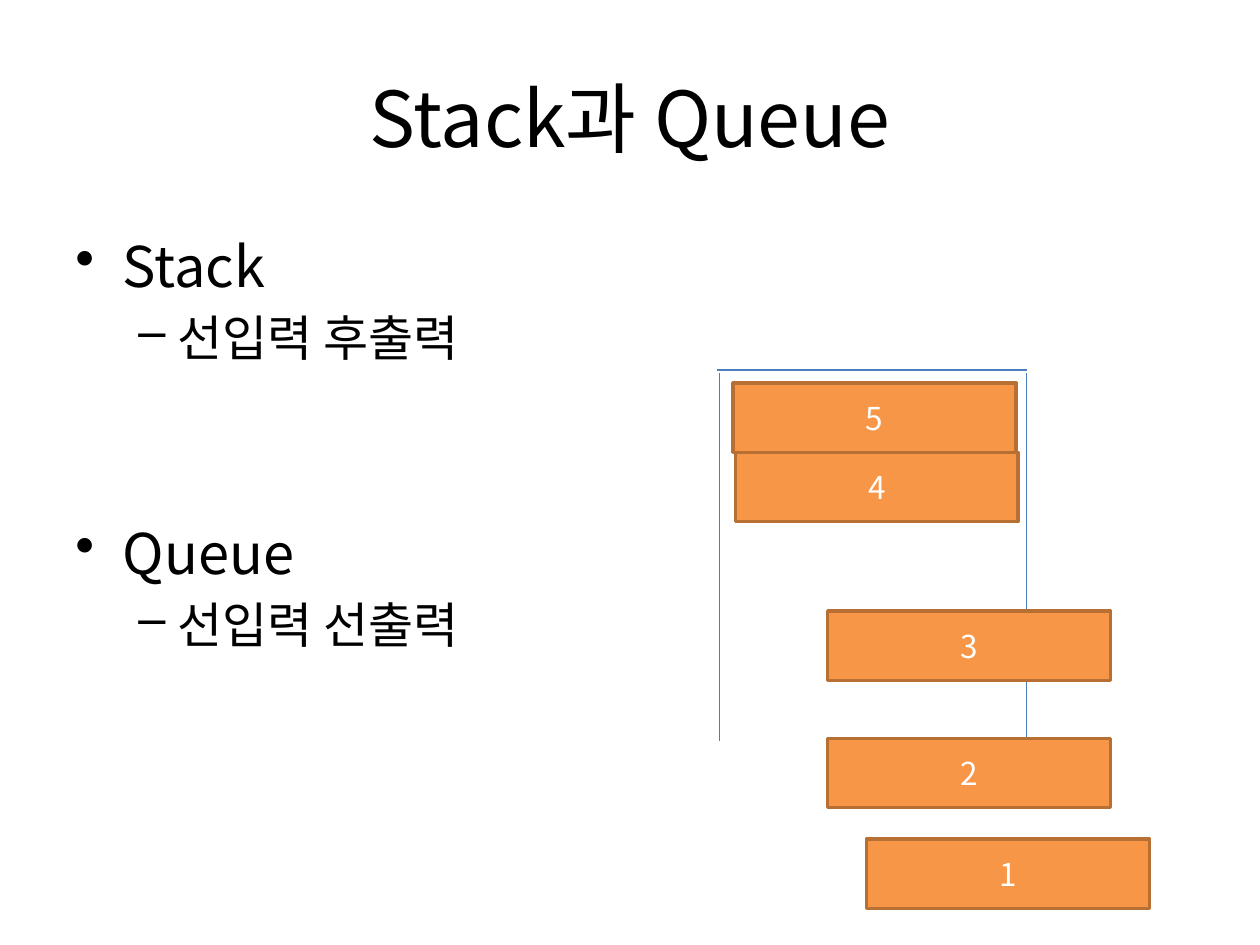
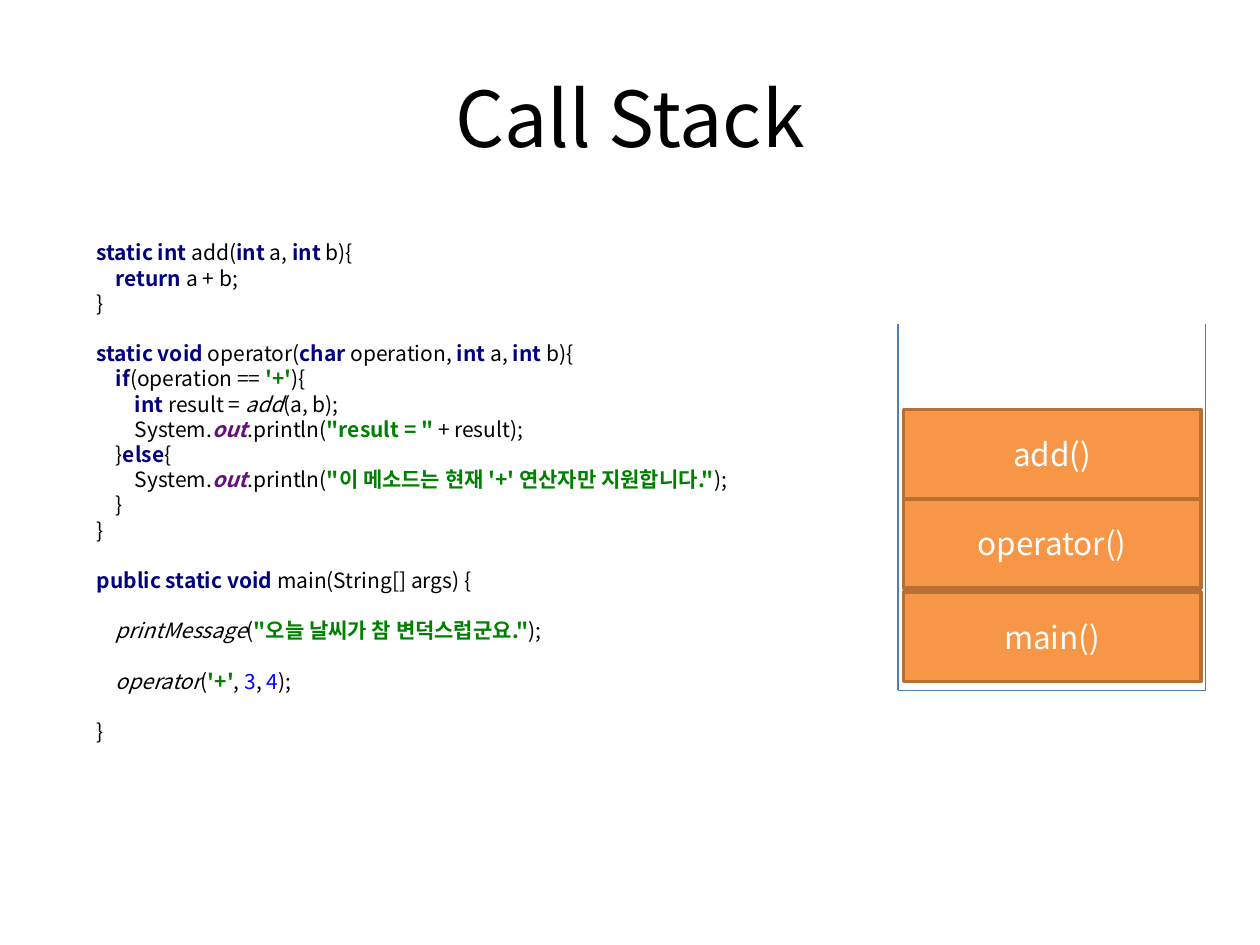
from dataclasses import dataclass

from lxml.etree import SubElement
from pptx import Presentation
from pptx.dml.color import RGBColor
from pptx.enum.shapes import MSO_CONNECTOR, MSO_SHAPE
from pptx.enum.text import MSO_ANCHOR, PP_ALIGN
from pptx.oxml.ns import qn
from pptx.util import Pt


@dataclass(frozen=True)
class Theme:
    """Colours, font and type sizes shared by the slides."""
    font: str = "Noto Sans CJK KR"
    text: str = "000000"
    paper: str = "FFFFFF"
    block: str = "F79646"
    block_edge: str = "B76F34"
    frame: str = "4B7EBC"
    keyword: str = "000080"
    string: str = "008000"
    field: str = "660E7A"
    number: str = "0000FF"
    title_size: int = 44
    topic_size: int = 32
    detail_size: int = 28
    block_size: int = 18
    code_size: int = 12
    leading: float = 1.2


THEME = Theme()
CODE_LINE = THEME.code_size * THEME.leading
CODE_INDENT = 10.9

# Token styles: colour, bold, italic
KEYWORD = (THEME.keyword, True, False)
STRING = (THEME.string, True, False)
FIELD = (THEME.field, True, True)
NUMBER = (THEME.number, False, False)
CALL = (THEME.text, False, True)
PLAIN = (THEME.text, False, False)

# Each line: blank lines above, indent level, tokens
CODE = [
    (0, 0, [("static int ", KEYWORD), ("add(", PLAIN), ("int ", KEYWORD),
            ("a, ", PLAIN), ("int ", KEYWORD), ("b){", PLAIN)]),
    (0, 1, [("return ", KEYWORD), ("a + b;", PLAIN)]),
    (0, 0, [("}", PLAIN)]),
    (1, 0, [("static void ", KEYWORD), ("operator(", PLAIN),
            ("char ", KEYWORD), ("operation, ", PLAIN), ("int ", KEYWORD),
            ("a, ", PLAIN), ("int ", KEYWORD), ("b){", PLAIN)]),
    (0, 1, [("if", KEYWORD), ("(operation == ", PLAIN), ("'+'", STRING),
            ("){", PLAIN)]),
    (0, 2, [("int ", KEYWORD), ("result = ", PLAIN), ("add", CALL),
            ("(a, b);", PLAIN)]),
    (0, 2, [("System.", PLAIN), ("out", FIELD), (".println(", PLAIN),
            ('"result = " ', STRING), ("+ result);", PLAIN)]),
    (0, 1, [("}", PLAIN), ("else", KEYWORD), ("{", PLAIN)]),
    (0, 2, [("System.", PLAIN), ("out", FIELD), (".println(", PLAIN),
            ('"이 메소드는 현재 \'+\' 연산자만 지원합니다."', STRING),
            (");", PLAIN)]),
    (0, 1, [("}", PLAIN)]),
    (0, 0, [("}", PLAIN)]),
    (1, 0, [("public static void ", KEYWORD),
            ("main(String[] args) {", PLAIN)]),
    (1, 1, [("printMessage", CALL), ("(", PLAIN),
            ('"오늘 날씨가 참 변덕스럽군요."', STRING), (");", PLAIN)]),
    (1, 1, [("operator", CALL), ("(", PLAIN), ("'+'", STRING), (", ", PLAIN),
            ("3", NUMBER), (", ", PLAIN), ("4", NUMBER), (");", PLAIN)]),
    (1, 0, [("}", PLAIN)]),
]


def rgb(colour):
    """Turn a hex string into a colour."""
    return RGBColor.from_string(colour)


def style_paragraph(paragraph, size, colour=THEME.text, align=PP_ALIGN.LEFT):
    """Give a paragraph its font, for Latin and Korean letters alike."""
    paragraph.alignment = align
    font = paragraph.font
    font.name, font.size = THEME.font, Pt(size)
    font.color.rgb = rgb(colour)
    defaults = paragraph._p.get_or_add_pPr().get_or_add_defRPr()
    SubElement(defaults, qn("a:ea"), typeface=THEME.font)


def set_spacing(paragraph, size, before=0, margin=0, hanging=0):
    """Set line height, the gap above and the indents."""
    paragraph.line_spacing = Pt(size * THEME.leading)
    paragraph.space_before = Pt(before)
    properties = paragraph._p.get_or_add_pPr()
    properties.set("marL", str(Pt(margin)))
    properties.set("indent", str(Pt(-hanging)))


def add_bullet(paragraph, mark):
    """Put a bullet before a paragraph, ahead of its font defaults."""
    properties = paragraph._p.get_or_add_pPr()
    bullet = SubElement(properties, qn("a:buChar"), char=mark)
    properties.find(qn("a:defRPr")).addprevious(bullet)


def add_text_frame(slide, left, top, width, height):
    """Add a wrapping text box and return its text frame."""
    box = slide.shapes.add_textbox(Pt(left), Pt(top), Pt(width), Pt(height))
    box.text_frame.word_wrap = True
    return box.text_frame


def new_paragraph(frame, index):
    """Return the first paragraph for index 0, otherwise a new one."""
    return frame.add_paragraph() if index else frame.paragraphs[0]


def add_title(slide, text):
    """Add the centred slide title."""
    frame = add_text_frame(slide, 36, 21.6, 648, 90)
    frame.vertical_anchor = MSO_ANCHOR.MIDDLE
    heading = frame.paragraphs[0]
    heading.text = text
    style_paragraph(heading, THEME.title_size, align=PP_ALIGN.CENTER)


def add_topics(slide, topics):
    """Add the topics, each with one detail below it."""
    frame = add_text_frame(slide, 36, 126, 648, 356.4)
    frame.margin_top = Pt(6.5)
    for index, (topic, detail) in enumerate(topics):
        heading = new_paragraph(frame, index)
        heading.text = topic
        style_paragraph(heading, THEME.topic_size)
        set_spacing(heading, THEME.topic_size, 87 if index else 0, 27, 27)
        add_bullet(heading, "•")

        point = frame.add_paragraph()
        point.text, point.level = detail, 1
        style_paragraph(point, THEME.detail_size)
        set_spacing(point, THEME.detail_size, 5, 58.5, 22.5)
        add_bullet(point, "–")


def add_code(slide, lines):
    """Add the program listing with coloured tokens."""
    frame = add_text_frame(slide, 48.2, 116.6, 409, 312.5)
    frame.margin_top = Pt(20.5)
    for index, (blanks, level, tokens) in enumerate(lines):
        line = new_paragraph(frame, index)
        style_paragraph(line, THEME.code_size)
        set_spacing(line, THEME.code_size, blanks * CODE_LINE,
                    level * CODE_INDENT)
        for text, (colour, bold, italic) in tokens:
            token = line.add_run()
            token.text = text
            token.font.color.rgb = rgb(colour)
            token.font.bold, token.font.italic = bold, italic


def add_frame_line(slide, start, end):
    """Draw one side of the container."""
    side = slide.shapes.add_connector(
        MSO_CONNECTOR.STRAIGHT, *(Pt(value) for value in start + end))
    side.line.color.rgb = rgb(THEME.frame)
    side.line.width = Pt(0.75)
    SubElement(side._element.spPr, qn("a:effectLst"))


def add_block(slide, label, left, top, width, height):
    """Add one labelled element of a stack or queue."""
    block = slide.shapes.add_shape(
        MSO_SHAPE.RECTANGLE, Pt(left), Pt(top), Pt(width), Pt(height))
    block.shadow.inherit = False
    block.fill.solid()
    block.fill.fore_color.rgb = rgb(THEME.block)
    block.line.color.rgb = rgb(THEME.block_edge)
    block.line.width = Pt(2)
    frame = block.text_frame
    frame.vertical_anchor = MSO_ANCHOR.MIDDLE
    caption = frame.paragraphs[0]
    caption.text = label
    style_paragraph(caption, THEME.block_size, THEME.paper, PP_ALIGN.CENTER)


def build_stack_and_queue(slide):
    """Compare stack and queue beside a container of numbers."""
    add_title(slide, "Stack과 Queue")
    add_topics(slide, [("Stack", "선입력 후출력"), ("Queue", "선입력 선출력")])
    left, right, top, bottom = 411, 586.8, 213, 423.4
    add_frame_line(slide, (left, top), (left, bottom))
    add_frame_line(slide, (right, bottom), (right, top))
    add_frame_line(slide, (409.5, 211.5), (right, 211.5))
    places = [(495.2, 479.5), (473, 422), (473, 349.2), (420.2, 258.5),
              (419, 218.9)]
    for number, (x, y) in enumerate(places, 1):
        add_block(slide, str(number), x, y, 161.6, 39.6)


def build_call_stack(slide):
    """Show a program and the call stack it produces."""
    add_title(slide, "Call Stack")
    left, right, top, bottom = 513.2, 689, 185, 394.5
    corners = [(left, top), (left, bottom), (right, bottom), (right, top)]
    for start, end in zip(corners, corners[1:]):
        add_frame_line(slide, start, end)
    add_code(slide, CODE)
    for call, y in [("main()", 338.4), ("operator()", 285), ("add()", 234)]:
        add_block(slide, call, 516.2, y, 170, 51)


def main():
    """Build the two slides and save them."""
    presentation = Presentation()
    presentation.slide_width, presentation.slide_height = Pt(720), Pt(540)
    blank = presentation.slide_layouts[6]
    for build in (build_stack_and_queue, build_call_stack):
        build(presentation.slides.add_slide(blank))
    presentation.save("out.pptx")


main()
